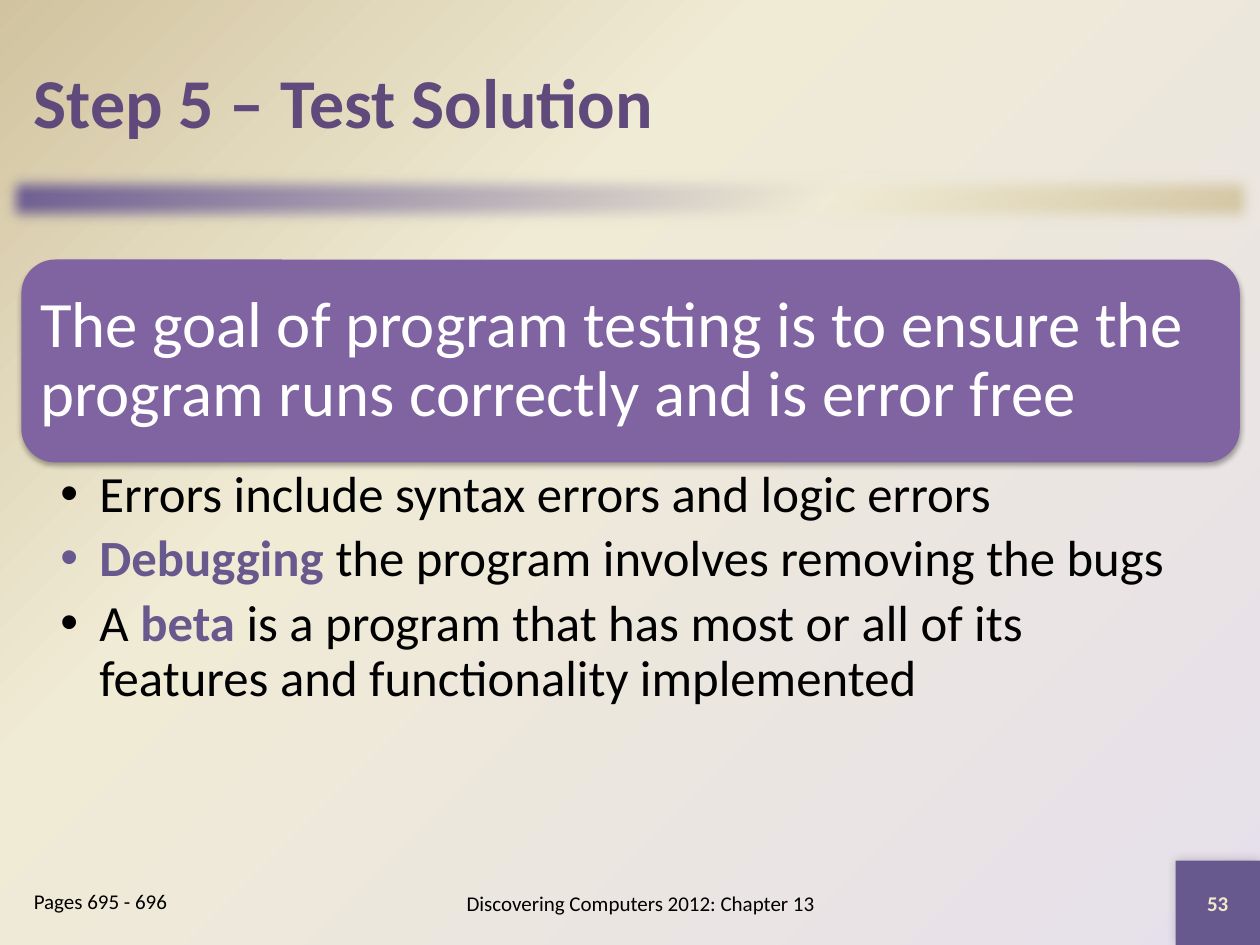
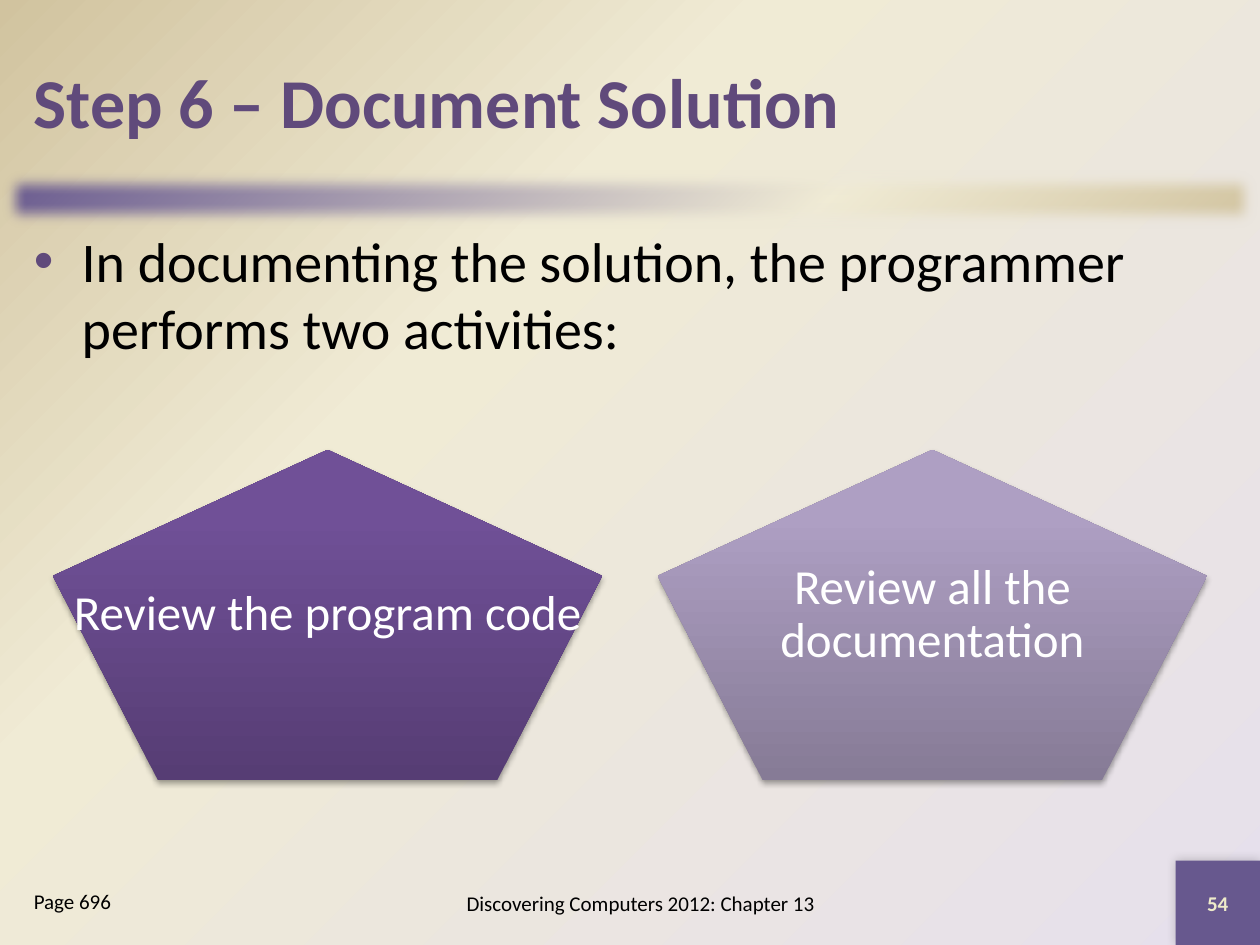
from lxml import etree
from pptx import Presentation
from pptx.dml.color import RGBColor
from pptx.enum import shapes, text
from pptx.oxml.ns import nsdecls, qn
from pptx import util as u

FONT = "Calibri"
COLORS = {
    "title": "604A7B", "accent": "67588E", "panel": "8064A2",
    "cream": "F0EBD5", "tan": "D1C39F", "lilac": "E6E0EC",
    "number": "EEEBCA", "text": "000000", "white": "FFFFFF",
}
BAND_STOPS = [(0, COLORS["accent"]), (65, COLORS["cream"]), (100, COLORS["tan"])]
PAGE_STOPS = [(0, COLORS["lilac"]), (65, COLORS["cream"]), (100, COLORS["tan"])]
DARK_STOPS = [(0, "563D74"), (80, "705097"), (100, "704F99")]
LIGHT_STOPS = [(0, "867B96"), (80, "AE9FC3"), (100, "AE9FC4")]

LINEAR = '<a:lin ang="{}" scaled="0"/>'
CORNER = '<a:path path="circle"><a:fillToRect l="100000" t="100000"/></a:path>'
MARGIN, CONTENT_WIDTH = 0.17, 9.67
DEFAULT_INSETS = (0.1, 0.05, 0.1, 0.05)


# --- Fills and effects ---
def rgb(name):
    return RGBColor.from_string(COLORS[name])


def set_gradient(parent, stops, direction):
    """Replace the solid fill found in parent by a gradient."""
    marks = "".join(
        f'<a:gs pos="{position * 1000}"><a:srgbClr val="{color}"/></a:gs>'
        for position, color in stops)
    gradient = etree.fromstring(
        f'<a:gradFill {nsdecls("a")} rotWithShape="1">'
        f'<a:gsLst>{marks}</a:gsLst>{direction}</a:gradFill>')
    solid = parent.find(qn("a:solidFill"))
    parent.replace(solid, gradient)


def add_effect(shape, xml):
    effects = shape.element.spPr.find(qn("a:effectLst"))
    effects.append(etree.fromstring(xml))


def add_shadow(shape, alpha=35, blur=3.1, distance=1.8, angle=90):
    add_effect(shape, (
        f'<a:outerShdw {nsdecls("a")} blurRad="{u.Pt(blur)}" dist="{u.Pt(distance)}" '
        f'dir="{angle * 60000}" rotWithShape="0"><a:srgbClr val="{COLORS["text"]}">'
        f'<a:alpha val="{alpha * 1000}"/></a:srgbClr></a:outerShdw>'))


def add_block(page, kind, place, color="accent", stops=None, angle=0):
    shape = page.shapes.add_shape(kind, *map(u.Inches, place))
    shape.shadow.inherit = False
    shape.fill.solid()
    shape.fill.fore_color.rgb = rgb(color)
    shape.line.fill.background()
    if stops:
        set_gradient(shape.element.spPr, stops, LINEAR.format(angle * 60000))
    return shape


# --- Text ---
def add_bullet(para, indent, color=None):
    props = para._p.get_or_add_pPr()
    props.set("marL", str(u.Inches(indent)))
    props.set("indent", str(-u.Inches(indent)))
    if color:
        bullet_color = etree.SubElement(props, qn("a:buClr"))
        etree.SubElement(bullet_color, qn("a:srgbClr"), val=COLORS[color])
    etree.SubElement(props, qn("a:buFont"), typeface="Arial")
    etree.SubElement(props, qn("a:buChar"), char="•")


def add_text(page, place, paragraphs, size, color="text", bold=False, align="LEFT",
             anchor="MIDDLE", insets=DEFAULT_INSETS, spacing=None, after=None,
             indent=None, bullet_color=None):
    """Each paragraph is a list of (wording, is_key_term) runs."""
    frame = page.shapes.add_textbox(*map(u.Inches, place)).text_frame
    frame.word_wrap = True
    frame.vertical_anchor = getattr(text.MSO_ANCHOR, anchor)
    (frame.margin_left, frame.margin_top,
     frame.margin_right, frame.margin_bottom) = map(u.Inches, insets)
    for number, runs in enumerate(paragraphs):
        para = frame.add_paragraph() if number else frame.paragraphs[0]
        if indent:
            add_bullet(para, indent, bullet_color)
        para.alignment = getattr(text.PP_ALIGN, align)
        if spacing:
            para.line_spacing = spacing
        if after:
            para.space_after = u.Pt(after)
        for wording, is_key_term in runs:
            span = para.add_run()
            span.text = wording
            span.font.name = FONT
            span.font.size = u.Pt(size)
            span.font.bold = bold or is_key_term
            span.font.color.rgb = rgb("accent" if is_key_term else color)


def plain(wording):
    return [[(wording, False)]]


# --- Slide parts ---
def add_page(deck, title, pages, number):
    page = deck.slides.add_slide(deck.slide_layouts[6])
    page.background.fill.solid()
    set_gradient(page.element.find(".//" + qn("p:bgPr")), PAGE_STOPS, CORNER)

    # Soft band under the title
    band = add_block(page, shapes.MSO_SHAPE.RECTANGLE, (0, 1.33, 10, 0.5),
                     stops=BAND_STOPS, angle=45)
    add_effect(band, f'<a:softEdge {nsdecls("a")} rad="{u.Inches(0.12)}"/>')

    # Title, footers and number square
    corner = (9.33, 6.83, 0.67, 0.67)
    square = add_block(page, shapes.MSO_SHAPE.RECTANGLE, corner)
    add_shadow(square, alpha=20, blur=6, distance=0, angle=225)
    add_text(page, (MARGIN, 0.17, CONTENT_WIDTH, 1.25), plain(title), 40, "title", bold=True)
    add_text(page, (3, 6.92, 4.17, 0.5),
             plain("Discovering Computers 2012: Chapter 13"), 12, align="CENTER")
    add_text(page, corner, plain(str(number)), 12, "number", bold=True, align="CENTER")
    add_text(page, (MARGIN, 7, 1.83, 0.5), plain(pages), 12, anchor="TOP")
    return page


def add_goal_panel(page, wording):
    place = (MARGIN, 2.06, CONTENT_WIDTH, 1.61)
    add_shadow(add_block(page, shapes.MSO_SHAPE.ROUNDED_RECTANGLE, place, "panel"))
    add_text(page, place, plain(wording), 37, "white", insets=(0.15,) * 4, spacing=0.9)


def add_activity(page, left, wording, stops):
    place = (left, 3.57, 4.36, 2.62)
    add_shadow(add_block(page, shapes.MSO_SHAPE.REGULAR_PENTAGON, place,
                         stops=stops, angle=270))
    add_text(page, place, plain(wording), 28, "white", align="CENTER",
             insets=(0.12,) * 4, spacing=0.9)


def main():
    deck = Presentation()
    deck.slide_width, deck.slide_height = u.Inches(10), u.Inches(7.5)

    # Testing
    page = add_page(deck, "Step 5 – Test Solution", "Pages 695 - 696", 53)
    add_goal_panel(page, "The goal of program testing is to ensure the program runs "
                         "correctly and is error free")
    facts = [
        [("Errors include syntax errors and logic errors", False)],
        [("Debugging", True), (" the program involves removing the bugs", False)],
        [("A ", False), ("beta", True),
         (" is a program that has most or all of its features and functionality "
          "implemented", False)],
    ]
    add_text(page, (MARGIN, 3.67, CONTENT_WIDTH, 2.09), facts, 29, anchor="TOP",
             insets=(0.31, 0.05, 0.29, 0.05), spacing=0.9, after=5.5, indent=0.31)

    # Documenting
    page = add_page(deck, "Step 6 – Document Solution", "Page 696", 54)
    add_text(page, (MARGIN, 1.75, CONTENT_WIDTH, 5.08),
             plain("In documenting the solution, the programmer performs two activities:"),
             32, anchor="TOP", indent=0.38, bullet_color="title")
    activities = [("Review the program code", DARK_STOPS),
                  ("Review all the documentation", LIGHT_STOPS)]
    for column, (wording, stops) in enumerate(activities):
        add_activity(page, 0.42 + 4.8 * column, wording, stops)

    deck.save("out.pptx")


if __name__ == "__main__":
    main()
